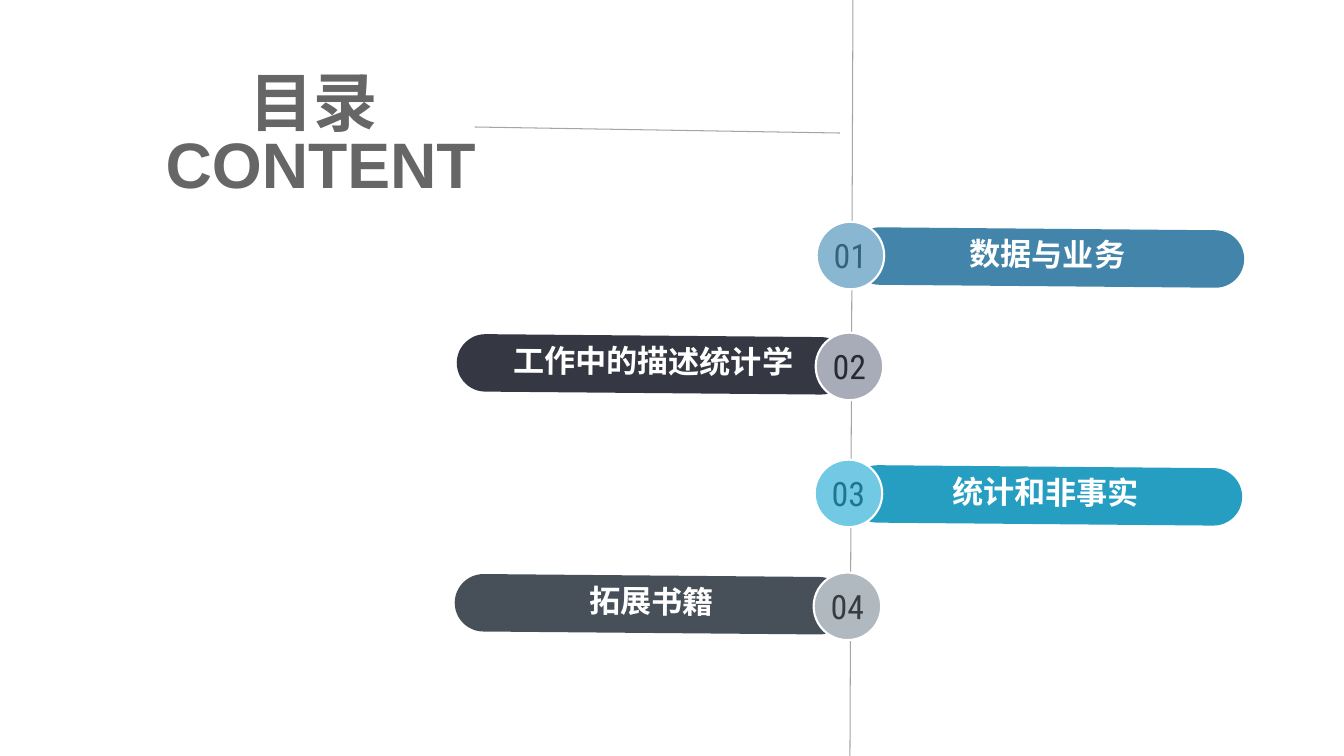
from lxml import etree
from pptx import Presentation
from pptx import util as u
from pptx.dml.color import RGBColor
from pptx.enum import shapes, text
from pptx.oxml.ns import qn

PX = 9144
GREY = "A5A5A5"
BADGE = 67
PILL_W, PILL_H = 390, 57
TILT = 0.5

ITEMS = [
    ("01", "数据与业务", 810, 220, True, "4385AA", "89B6D0", "32637F"),
    ("02", "工作中的描述统计学", 809, 330, False, "353842", "A8ABB8", "272A31"),
    ("03", "统计和非事实", 808, 456, True, "259EC2", "71C9E4", "1B7691"),
    ("04", "拓展书籍", 807, 568, False, "475059", "B0B9C0", "353C42"),
]


def px(*lengths):
    return [u.Emu(n * PX) for n in lengths]


def color(value):
    return RGBColor.from_string(value)


def add_line(s, x1, y1, x2, y2):
    line = s.shapes.add_connector(shapes.MSO_CONNECTOR.STRAIGHT, *px(x1, y1, x2, y2))
    line.line.color.rgb = color(GREY)
    line.line.width = u.Pt(0.75)
    etree.SubElement(line._element.spPr, qn("a:effectLst"))


def write(sp, content, size, font, fill, bold=False, spacing=None):
    tf = sp.text_frame
    tf.word_wrap = True
    tf.text = content
    p = tf.paragraphs[0]
    p.alignment = text.PP_ALIGN.CENTER
    p.line_spacing = spacing
    for r in p.runs:
        r.font.size = u.Pt(size)
        r.font.name = font
        r.font.bold = bold
        r.font.color.rgb = color(fill)
    return tf


def add_tilted(s, kind, box, fill):
    sp = s.shapes.add_shape(kind, *px(*box))
    sp.shadow.inherit = False
    sp.rotation = TILT
    sp.fill.solid()
    sp.fill.fore_color.rgb = color(fill)
    sp.line.fill.background()
    sp.text_frame.vertical_anchor = text.MSO_ANCHOR.MIDDLE
    return sp


def add_item(s, number, label, x, y, on_right, pill_fill, badge_fill, number_color):
    dx, dy = (34, 7) if on_right else (-356, 3)
    pill = add_tilted(s, shapes.MSO_SHAPE.ROUNDED_RECTANGLE,
                      (x + dx, y + dy, PILL_W, PILL_H), pill_fill)
    pill.adjustments[0] = 0.5
    write(pill, label, 22.2, "Arial", "FFFFFF", True, 0.8)

    badge = add_tilted(s, shapes.MSO_SHAPE.OVAL, (x, y, BADGE, BADGE), badge_fill)
    badge.line.color.rgb = color("FFFFFF")
    badge.line.width = u.Pt(1.5)
    tf = write(badge, number, 24, "Roboto Condensed", number_color)
    tf.margin_left = tf.margin_right = tf.margin_top = tf.margin_bottom = 0


def add_title(s, x, y, w, h):
    sp = s.shapes.add_textbox(*px(x, y, w, h))
    write(sp, "目录 \vCONTENT", 45.9, "Arial", "666666", True, 0.8)
    add_line(s, x + 342, y + 54, x + 704, y + 60)


def main():
    prs = Presentation()
    prs.slide_width, prs.slide_height = px(1333, 750)
    s = prs.slides.add_slide(prs.slide_layouts[6])
    add_line(s, 846, 0, 843, 750)
    for item in ITEMS:
        add_item(s, *item)
    add_title(s, 129, 72, 378, 141)
    prs.save("out.pptx")


if __name__ == "__main__":
    main()
